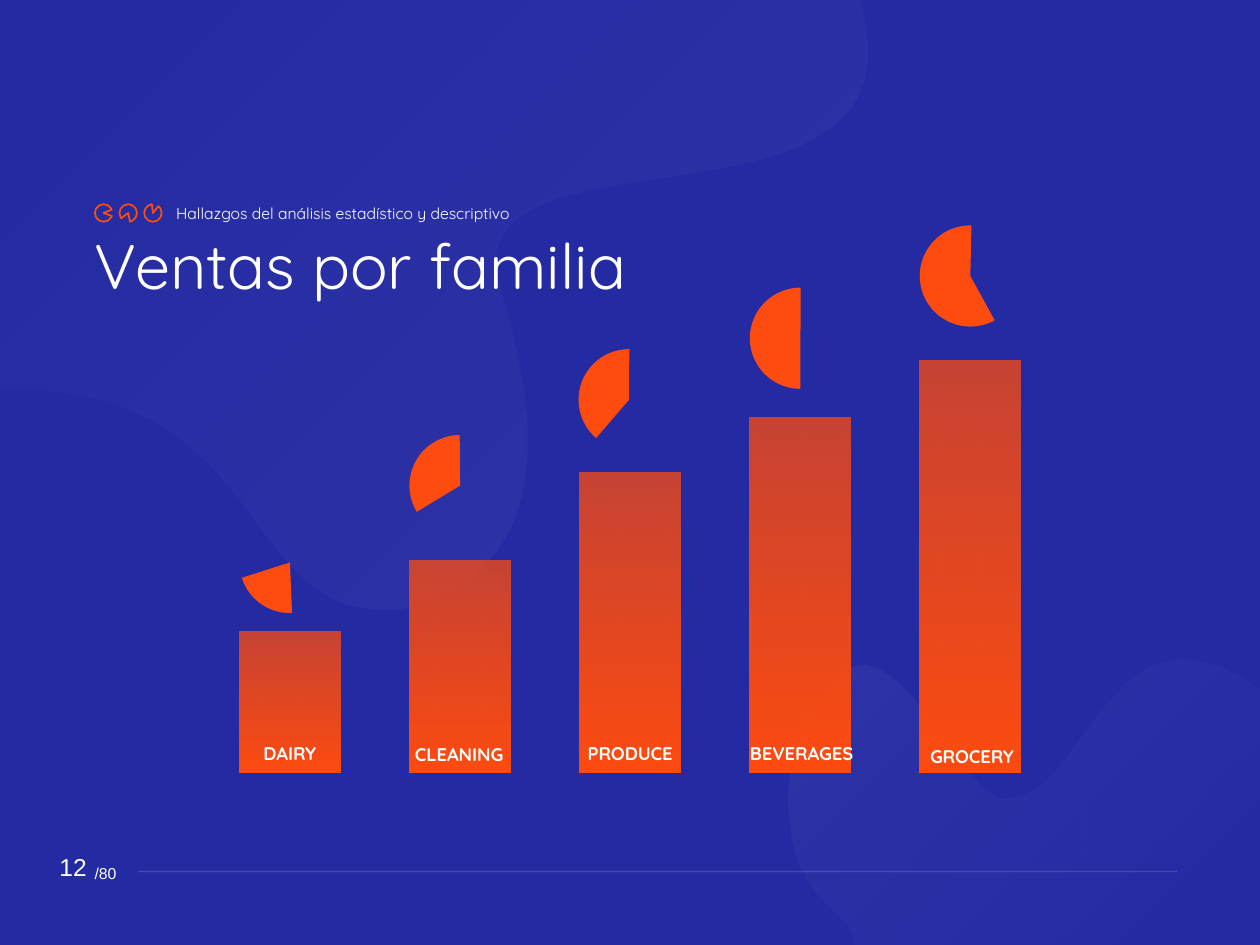
from lxml import etree
from pptx import Presentation
from pptx.dml.color import RGBColor
from pptx.enum import shapes, text
from pptx.oxml import parse_xml
from pptx.oxml.ns import nsdecls, qn
from pptx.util import Pt

BLUE = RGBColor(0x24, 0x2A, 0xA2)
ORANGE = RGBColor(0xFE, 0x4C, 0x10)
WHITE = RGBColor(0xFF, 0xFF, 0xFF)
LEFT, CENTER, RIGHT = text.PP_ALIGN.LEFT, text.PP_ALIGN.CENTER, text.PP_ALIGN.RIGHT

# Families: name, bar top, label box (left, top, width),
# pie left and top, pie start and end angle in degrees
FAMILIES = [
    ("DAIRY", 361.1, (130.3, 420.5, 70.6), (136.8, 292.5), (87.65, 162.33)),
    ("CLEANING", 320.4, (223.9, 421.2, 77), (234, 248.6), (148.79, 269.6)),
    ("PRODUCE", 270, (324.8, 420.5, 70.6), (330.6, 199.5), (130.72, 270.22)),
    ("BEVERAGES", 238.6, (421.4, 420.5, 73.4), (428.5, 164.4), (90.2, 270.39)),
    ("GROCERY", 206, (520.1, 422.3, 70.6), (525.6, 128.8), (61.25, 271.25)),
]
BAR_LEFT, BAR_STEP, BAR_WIDTH, BASELINE = 136.7, 97.2, 57.8, 441.4

# Small icons: start and end angle in degrees
ICONS = [(20.23, 337.63), (143, 79.04), (309.04, 263.09)]
ICON_LEFT, ICON_STEP, ICON_TOP, ICON_SIZE = 54.2, 14.1, 116.7, 10

# Waves: box (left, top, width, height), corner points,
# curves (two handles and an end), opacity at start and end
WAVES = [
    ((450, 377, 270, 163), [(720, 540), (488.2, 540)],
     [((488.2, 516.2), (434.9, 515.5), (455, 419.8)),
      ((506.9, 308.9), (543.6, 467.3), (578.2, 455.8)),
      ((622.1, 451.4), (632.9, 334.1), (720, 393.8))], 5, 0),
    ((0, 0, 496, 348), [(0, 0), (491, 0)],
     [((535, 149.8), (253.4, 60.5), (285.8, 165.6)),
      ((318.2, 271.4), (300.2, 330.5), (226.8, 347.8)),
      ((133.2, 354.2), (157.7, 218.2), (0, 222.2))], 0, 6),
]
UNITS = 100  # path units to the point

# Texts: wording, left, top, width, height, size, font, alignment, line spacing
TEXTS = [
    ("/80", 47, 486.7, 48.2, 20.9, 9, "Arial", LEFT, 1.3),
    ("12", 0, 483.1, 56.7, 24.5, 14, "Arial", RIGHT, 1),
    ("Ventas por familia", 47, 131, 319.7, 46.8, 36, "Quicksand", LEFT, 0.9),
    ("Hallazgos del análisis estadístico y descriptivo",
     93.6, 114.1, 393, 26.6, 9, "Quicksand", LEFT, 0.9),
]

presentation = Presentation()
presentation.slide_width, presentation.slide_height = Pt(720), Pt(540)
slide = presentation.slides.add_slide(presentation.slide_layouts[6])
slide.background.fill.solid()
slide.background.fill.fore_color.rgb = BLUE


def set_gradient(shape, color, start, end, angle):
    """Fill with one colour whose opacity runs from start to end percent."""
    stops = "".join(
        f'<a:gs pos="{position}"><a:srgbClr val="{color}">'
        f'<a:alpha val="{opacity * 1000}"/></a:srgbClr></a:gs>'
        for position, opacity in ((0, start), (100000, end)))
    gradient = parse_xml(
        f'<a:gradFill {nsdecls("a")} rotWithShape="1"><a:gsLst>{stops}</a:gsLst>'
        f'<a:lin ang="{angle * 60000}" scaled="0"/></a:gradFill>')
    shape.fill.background()
    empty_fill = shape._element.spPr.find(qn("a:noFill"))
    empty_fill.getparent().replace(empty_fill, gradient)


def add_plain(kind, left, top, width, height):
    shape = slide.shapes.add_shape(kind, Pt(left), Pt(top), Pt(width), Pt(height))
    shape.shadow.inherit = False
    shape.line.fill.background()
    return shape


def add_pie(left, top, size, angles):
    pie = add_plain(shapes.MSO_SHAPE.PIE, left, top, size, size)
    for index, degrees in enumerate(angles):
        pie.adjustments[index] = degrees * 0.6
    return pie


def add_text(wording, left, top, width, height, size, font, alignment,
             spacing=1, bold=False):
    box = slide.shapes.add_textbox(Pt(left), Pt(top), Pt(width), Pt(height))
    box.text_frame.word_wrap = not bold
    paragraph = box.text_frame.paragraphs[0]
    paragraph.text = wording
    paragraph.alignment = alignment
    paragraph.line_spacing = spacing
    paragraph.font.name = font
    paragraph.font.size = Pt(size)
    paragraph.font.bold = bold
    paragraph.font.color.rgb = WHITE


def add_wave(box, corners, curves):
    """Build the outline on its end points, then bend the later sides."""
    left, top, width, height = box
    builder = slide.shapes.build_freeform(*corners[0], scale=Pt(1))
    builder.add_line_segments(corners[1:] + [curve[-1] for curve in curves], close=True)
    wave = builder.convert_to_shape()
    wave.left, wave.top, wave.width, wave.height = map(Pt, box)
    outline = wave._element.spPr.find(".//" + qn("a:path"))
    outline.set("w", str(width * UNITS))
    outline.set("h", str(height * UNITS))
    steps = [("moveTo", corners[:1]), ("lnTo", corners[1:])]
    steps += [("cubicBezTo", curve) for curve in curves]
    for old, (tag, points) in zip(list(outline), steps):
        new = etree.Element(qn("a:" + tag))
        for x, y in points:
            point = etree.SubElement(new, qn("a:pt"))
            point.set("x", str(round((x - left) * UNITS)))
            point.set("y", str(round((y - top) * UNITS)))
        outline.replace(old, new)
    wave.shadow.inherit = False
    wave.line.fill.background()
    return wave


# Footer line
rule = slide.shapes.add_connector(
    shapes.MSO_CONNECTOR.STRAIGHT, Pt(79), Pt(498), Pt(672.5), Pt(498))
rule.line.width = Pt(0.75)
rule.line.color.rgb = WHITE
rule_color = rule._element.spPr.find(".//" + qn("a:srgbClr"))
etree.SubElement(rule_color, qn("a:alpha")).set("val", "15000")
etree.SubElement(rule._element.spPr, qn("a:effectLst"))

# Background waves
for box, corners, curves, start_opacity, end_opacity in WAVES:
    set_gradient(add_wave(box, corners, curves), WHITE, start_opacity, end_opacity, 45)

# Bars, their labels and pies
for index, (name, bar_top, label, pie_corner, angles) in enumerate(FAMILIES):
    bar = add_plain(shapes.MSO_SHAPE.RECTANGLE, BAR_LEFT + index * BAR_STEP, bar_top,
                    BAR_WIDTH, BASELINE - bar_top)
    set_gradient(bar, ORANGE, 75, 100, 90)
    add_text(name, *label, 20.2, 10.5, "Quicksand", CENTER, bold=True)
    pie = add_pie(*pie_corner, BAR_WIDTH, angles)
    pie.fill.solid()
    pie.fill.fore_color.rgb = ORANGE

# Icons beside the subtitle
for index, angles in enumerate(ICONS):
    icon = add_pie(ICON_LEFT + index * ICON_STEP, ICON_TOP, ICON_SIZE, angles)
    icon.fill.background()
    icon.line.color.rgb = ORANGE
    icon.line.width = Pt(1)

# Page number, title and subtitle
for item in TEXTS:
    add_text(*item)

presentation.save("out.pptx")
